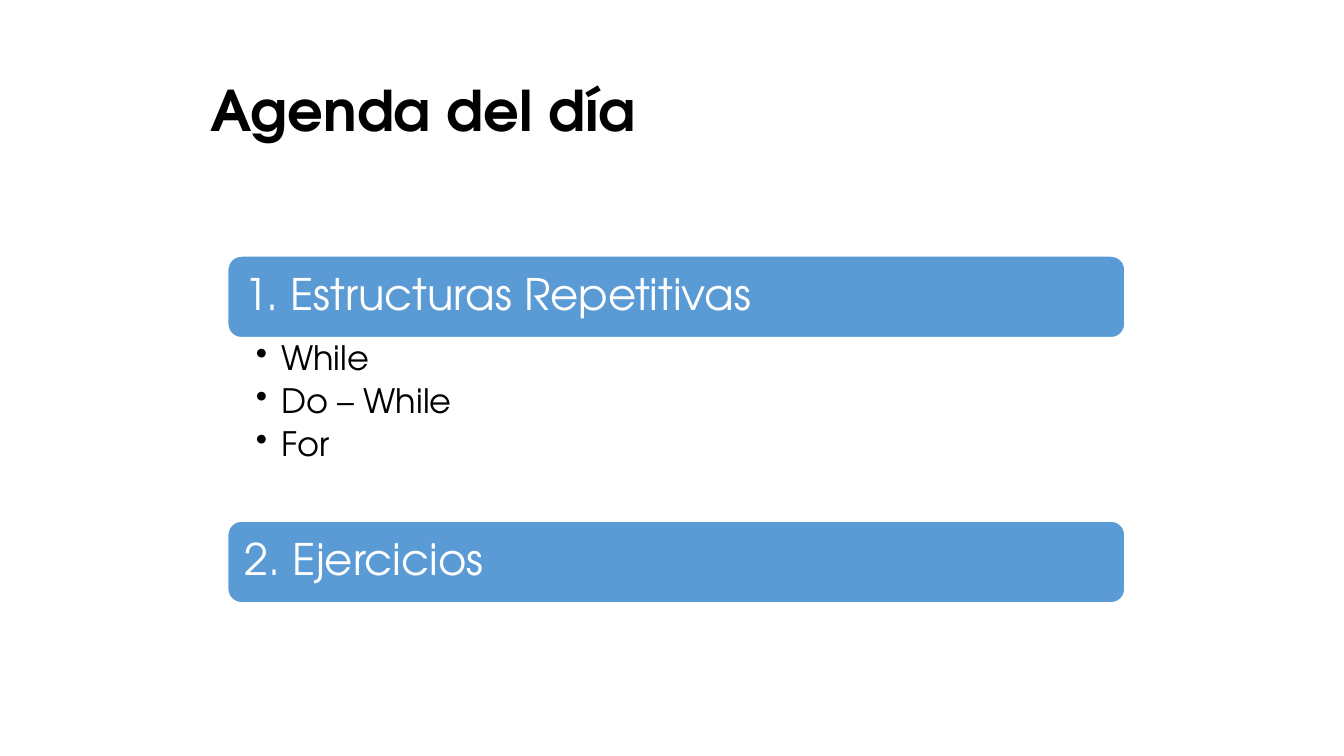
from lxml.etree import SubElement
from pptx import Presentation
from pptx.dml.color import RGBColor
from pptx.enum.shapes import MSO_SHAPE as Shape
from pptx.enum.text import MSO_ANCHOR as Anchor, PP_ALIGN as Align
from pptx.oxml.ns import qn
from pptx.util import Pt

FONT = "TeX Gyre Adventor"
LEFT, WIDTH = 162.72, 640.8
BAR = 58.32
TOP, STEP = 182.88, 189.36


def color(code):
    return RGBColor.from_string(code)


def set_frame(frame, anchor, left, top, right, bottom):
    frame.word_wrap = True
    frame.vertical_anchor = anchor
    frame.margin_left, frame.margin_top = Pt(left), Pt(top)
    frame.margin_right, frame.margin_bottom = Pt(right), Pt(bottom)


def style(para, text, size, code, bold=False):
    para.text = text
    para.alignment = Align.LEFT
    para.line_spacing = 0.9
    font = para.font
    font.name, font.size, font.bold = FONT, Pt(size), bold
    font.color.rgb = color(code)


def add_bullet(para):
    props = para._p.get_or_add_pPr()
    props.set("marL", str(Pt(18)))
    props.set("indent", str(-Pt(18)))
    SubElement(props, qn("a:buChar"), char="•")


def add_title(slide, text):
    box = slide.shapes.add_textbox(Pt(143.28), Pt(28.8), Pt(750.96), Pt(104.4))
    set_frame(box.text_frame, Anchor.MIDDLE, 7.2, 3.6, 7.2, 3.6)
    style(box.text_frame.paragraphs[0], text, 40, "000000", True)


def add_bar(slide, top, text):
    bar = slide.shapes.add_shape(
        Shape.ROUNDED_RECTANGLE, Pt(LEFT), Pt(top), Pt(WIDTH), Pt(BAR))
    bar.shadow.inherit = False
    bar.fill.solid()
    bar.fill.fore_color.rgb = color("5B9BD5")
    bar.line.color.rgb = color("FFFFFF")
    bar.line.width = Pt(1)
    set_frame(bar.text_frame, Anchor.MIDDLE, 9.36, 9.36, 9.36, 9.36)
    style(bar.text_frame.paragraphs[0], text, 31, "FFFFFF")


def add_list(slide, top, items):
    box = slide.shapes.add_textbox(
        Pt(LEFT), Pt(top), Pt(WIDTH), Pt(STEP - BAR))
    frame = box.text_frame
    set_frame(frame, Anchor.TOP, 20.16, 2.88, 17.28, 2.88)
    for i, item in enumerate(items):
        para = frame.add_paragraph() if i else frame.paragraphs[0]
        style(para, item, 24, "000000")
        para.space_after = Pt(4.8)
        add_bullet(para)


def main():
    deck = Presentation()
    deck.slide_width, deck.slide_height = Pt(960), Pt(540)
    slide = deck.slides.add_slide(deck.slide_layouts[6])
    add_title(slide, "Agenda del día")
    topics = [
        ("1. Estructuras Repetitivas", ["While", "Do – While", "For"]),
        ("2. Ejercicios", []),
    ]
    for i, (topic, items) in enumerate(topics):
        top = TOP + i * STEP
        add_bar(slide, top, topic)
        if items:
            add_list(slide, top + BAR, items)
    deck.save("out.pptx")


if __name__ == "__main__":
    main()
